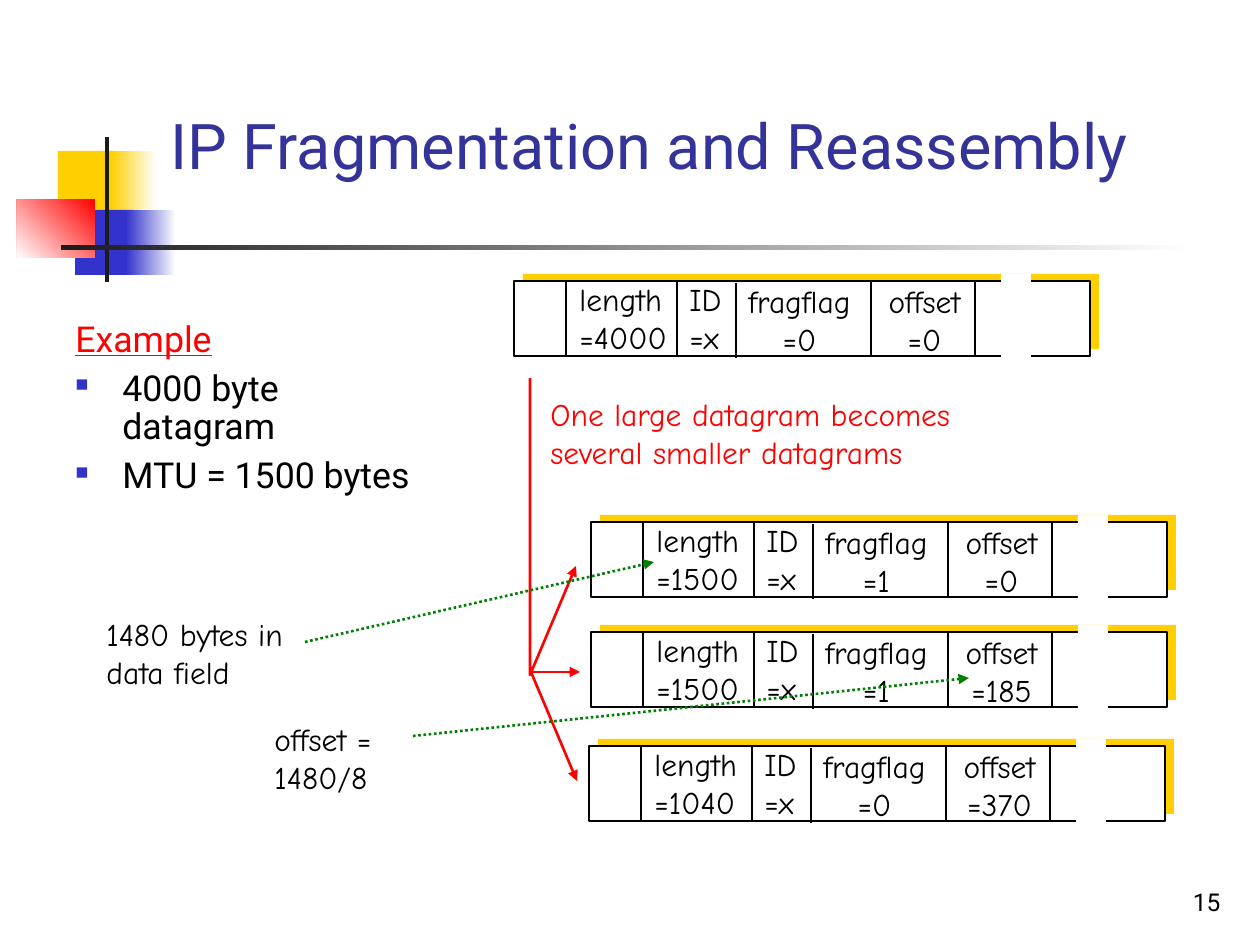
from dataclasses import dataclass
from typing import Any, Optional

from lxml.etree import SubElement
from pptx import Presentation
from pptx.dml.color import RGBColor
from pptx.enum.dml import MSO_LINE
from pptx.enum.shapes import MSO_CONNECTOR, MSO_SHAPE
from pptx.enum.text import MSO_ANCHOR, MSO_AUTO_SIZE, PP_ALIGN
from pptx.oxml.ns import qn
from pptx.util import Pt

EMU_PER_PX = 914400 / 126
COLORS = {
    "yellow": "FFCF01", "blue": "3333CC", "red": "FF0000", "dark": "1C1C1C",
    "white": "FFFFFF", "black": "000000", "title": "333399", "green": "008000",
}
COMIC, ROBOTO = "Comic Neue", "Roboto"
FRAME_W, FRAME_H = 576, 75


@dataclass
class Block:
    box: tuple[int, int, int, int]
    fill: str
    end: Optional[str] = None
    angle: int = 180


@dataclass
class Field:
    name: str
    x: int
    y: int
    w: int
    align: Any = PP_ALIGN.LEFT


@dataclass
class Datagram:
    x: int
    y: int
    values: tuple[str, str, str, str]


@dataclass
class Arrow:
    start: tuple[int, int]
    end: tuple[int, int]
    color: str
    dash: Any = None


BLOCKS = [
    Block((58, 151, 60, 66), "yellow"),
    Block((111, 151, 45, 66), "white", "yellow"),
    Block((75, 210, 58, 65), "blue"),
    Block((126, 210, 50, 65), "white", "blue"),
    Block((17, 199, 78, 59), "red", "white", 225),
    Block((105, 137, 4, 145), "dark"),
    Block((61, 245, 1134, 5), "white", "dark"),
]
FIELDS = [
    Field("length", 53, -7, 122),
    Field("ID", 163, -7, 62),
    Field("fragflag", 217, -5, 137, PP_ALIGN.CENTER),
    Field("offset", 358, -5, 105, PP_ALIGN.CENTER),
]
DIVIDERS = [(52, 0), (163, 0), (222, 2), (357, 0), (461, 0)]
DATAGRAMS = [
    Datagram(514, 281, ("4000", "x", "0", "0")),
    Datagram(591, 522, ("1500", "x", "1", "0")),
    Datagram(591, 632, ("1500", "x", "1", "185")),
    Datagram(589, 746, ("1040", "x", "0", "370")),
]
SPLIT_ARROWS = [
    Arrow((531, 672), (580, 672), "red"),
    Arrow((531, 672), (577, 781), "red"),
]
NOTE_ARROWS = [
    Arrow((305, 642), (654, 562), "green", MSO_LINE.ROUND_DOT),
    Arrow((413, 736), (969, 678), "green", MSO_LINE.ROUND_DOT),
]


def px(n: int) -> int:
    """Turn px into EMU."""
    return round(n * EMU_PER_PX)


def rgb(name: str) -> RGBColor:
    """Look up a named colour."""
    return RGBColor.from_string(COLORS[name])


def apply(target: Any, values: dict[str, Any]) -> None:
    """Set each given attribute on the target."""
    for key, value in values.items():
        setattr(target, key, value)


def style_line(line: Any, color: str, dash: Any = None) -> None:
    """Give a line its colour, width and dash."""
    line.color.rgb = rgb(color)
    apply(line, {"width": Pt(1.5), "dash_style": dash})


def add_arrowhead(sp: Any) -> None:
    """Put a triangle at the end of a line."""
    SubElement(sp._element.spPr.find(qn("a:ln")), qn("a:tailEnd"), type="triangle")


def draw_block(s: Any, block: Block, outline: Optional[str] = None) -> None:
    """Draw a rectangle with a solid or gradient fill."""
    sp = s.shapes.add_shape(MSO_SHAPE.RECTANGLE, *map(px, block.box))
    sp.shadow.inherit = False
    if block.end:
        sp.fill.gradient()
        sp.fill.gradient_angle = block.angle
        for stop, color in zip(sp.fill.gradient_stops, (block.fill, block.end)):
            stop.color.rgb = rgb(color)
    else:
        sp.fill.solid()
        sp.fill.fore_color.rgb = rgb(block.fill)
    if outline:
        style_line(sp.line, outline)
    else:
        sp.line.fill.background()


def draw_line(s: Any, line: Arrow, head: bool = True) -> None:
    """Draw a straight line, with an arrowhead if asked."""
    c = s.shapes.add_connector(MSO_CONNECTOR.STRAIGHT, *map(px, line.start + line.end))
    style_line(c.line, line.color, line.dash)
    if head:
        add_arrowhead(c)
    SubElement(c._element.spPr, qn("a:effectLst"))


def draw_text(s: Any, box: tuple[int, int, int, int], lines: list[str], font: str = COMIC,
              size: float = 18, color: str = "black", align: Any = PP_ALIGN.LEFT,
              **frame: Any) -> Any:
    """Draw a text box with one paragraph for each line."""
    tf = s.shapes.add_textbox(*map(px, box)).text_frame
    apply(tf, {"word_wrap": True, "auto_size": MSO_AUTO_SIZE.NONE} | frame)
    for i, text in enumerate(lines):
        p = tf.add_paragraph() if i else tf.paragraphs[0]
        apply(p, {"text": text, "alignment": align})
        for r in p.runs:
            apply(r.font, {"name": font, "size": Pt(size)})
            r.font.color.rgb = rgb(color)
    return tf


def draw_datagram(s: Any, d: Datagram) -> None:
    """Draw a datagram header with its fields, dividers and gap."""
    draw_block(s, Block((d.x + 9, d.y - 7, FRAME_W, FRAME_H), "yellow"))
    draw_block(s, Block((d.x, d.y, FRAME_W, FRAME_H), "white"), "black")
    for field, value in zip(FIELDS, d.values):
        box = (d.x + field.x, d.y + field.y, field.w, 88)
        draw_text(s, box, [field.name, f"={value}"], align=field.align)
    for x, drop in DIVIDERS:
        top = d.y + drop
        draw_line(s, Arrow((d.x + x, top), (d.x + x, top + FRAME_H), "black"), head=False)
    draw_block(s, Block((d.x + 487, d.y - 7, 30, 83), "white"))


def draw_split(s: Any) -> None:
    """Draw the red trunk and its three arrows."""
    builder = s.shapes.build_freeform(px(530), px(378))
    builder.add_line_segments([(px(530), px(675)), (px(576), px(566))], close=False)
    sp = builder.convert_to_shape()
    sp.shadow.inherit = False
    sp.fill.background()
    style_line(sp.line, "red")
    add_arrowhead(sp)
    for arrow in SPLIT_ARROWS:
        draw_line(s, arrow)


def draw_example(s: Any) -> None:
    """Draw the example heading and its bullets."""
    tf = draw_text(s, (63, 315, 380, 232), ["Example", "4000 byte datagram", "MTU = 1500 bytes"],
                   ROBOTO, 20.4)
    heading, *bullets = tf.paragraphs
    heading.line_spacing = 0.9
    heading.runs[0].font.underline = True
    heading.runs[0].font.color.rgb = rgb("red")
    for p in bullets:
        apply(p, {"line_spacing": 0.9, "space_before": Pt(6)})
        pPr = p._p.get_or_add_pPr()
        pPr.set("marL", str(px(47)))
        pPr.set("indent", str(-px(47)))
        SubElement(SubElement(pPr, qn("a:buClr")), qn("a:srgbClr"), val=COLORS["blue"])
        SubElement(pPr, qn("a:buSzPct"), val="50000")
        SubElement(pPr, qn("a:buChar"), char="■")


def main() -> None:
    """Build the slide and save it."""
    prs = Presentation()
    apply(prs, {"slide_width": px(1260), "slide_height": px(945)})
    s = prs.slides.add_slide(prs.slide_layouts[6])
    bottom = {"vertical_anchor": MSO_ANCHOR.BOTTOM}
    for block in BLOCKS:
        draw_block(s, block)
    draw_text(s, (158, 52, 1074, 136), ["IP Fragmentation and Reassembly"], ROBOTO, 36, "title", **bottom)
    for datagram in DATAGRAMS:
        draw_datagram(s, datagram)
    draw_split(s)
    draw_text(s, (538, 389, 440, 88), ["One large datagram becomes", "several smaller datagrams"], color="red")
    draw_example(s)
    draw_text(s, (94, 609, 225, 88), ["1480 bytes in \vdata field"])
    draw_text(s, (262, 714, 146, 88), ["offset =", "1480/8"])
    for arrow in NOTE_ARROWS:
        draw_line(s, arrow)
    draw_text(s, (971, 860, 262, 63), ["15"], ROBOTO, 14, align=PP_ALIGN.RIGHT, **bottom)
    prs.save("out.pptx")


if __name__ == "__main__":
    main()
